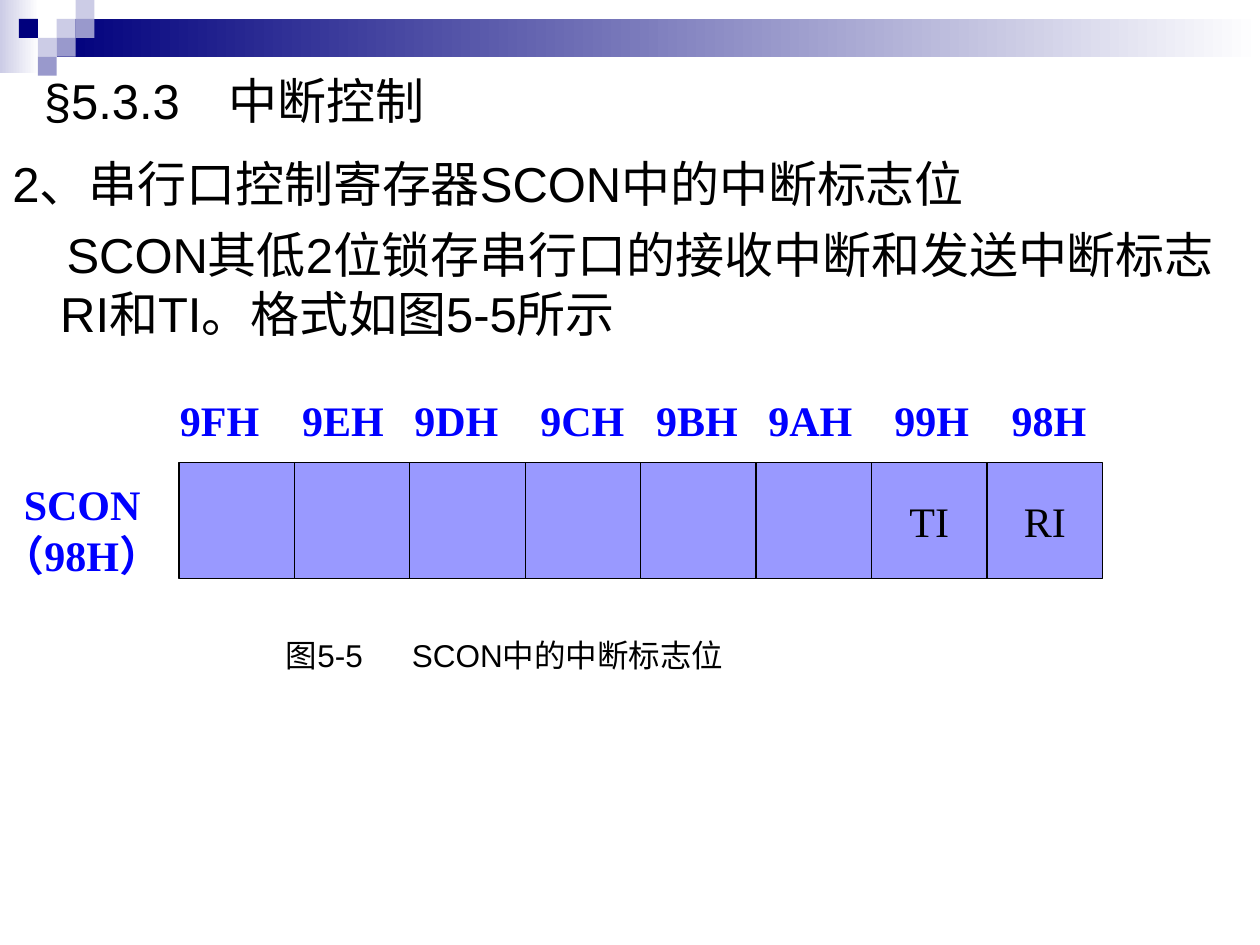
from collections import namedtuple
from dataclasses import dataclass

from pptx import Presentation
from pptx.dml.color import RGBColor
from pptx.enum.shapes import MSO_SHAPE as Shape
from pptx.enum.text import MSO_ANCHOR as Anchor, PP_ALIGN as Align
from pptx.util import Inches, Pt

Box = namedtuple("Box", "left top width height")


@dataclass(frozen=True)
class Theme:
    navy: str = "00007D"
    lavender: str = "CCCCE6"
    violet: str = "9999CC"
    cell: str = "9999FF"
    label: str = "0000FF"
    ink: str = "000000"
    paper: str = "FFFFFF"
    sans: str = "Arial"
    serif: str = "Times New Roman"
    heading_size: int = 28
    label_size: int = 24
    caption_size: int = 18


THEME = Theme()
HEADING = dict(name=THEME.sans, size=THEME.heading_size, color=THEME.ink, bold=False)
CAPTION = {**HEADING, "size": THEME.caption_size}
BIT = {**HEADING, "name": THEME.serif, "size": THEME.label_size}
LABEL = {**BIT, "color": THEME.label, "bold": True}


def rgb(color):
    return RGBColor.from_string(color)


def inches(box):
    return [Inches(length) for length in box]


def format_run(run, style):
    values = {"name": style["name"], "size": Pt(style["size"]), "bold": style["bold"]}
    for name, value in values.items():
        setattr(run.font, name, value)
    run.font.color.rgb = rgb(style["color"])


def set_indent(paragraph, margin=0, indent=0):
    properties = paragraph._p.get_or_add_pPr()
    properties.set("marL", str(Inches(margin)))
    properties.set("indent", str(Inches(indent)))


def write(frame, lines, style, anchor=Anchor.TOP, align=Align.LEFT, space=0):
    frame.word_wrap = True
    frame.vertical_anchor = anchor
    for number, (text, layout) in enumerate(lines):
        paragraph = frame.add_paragraph() if number else frame.paragraphs[0]
        paragraph.alignment = align
        paragraph.space_before = Pt(space)
        set_indent(paragraph, **layout)
        run = paragraph.add_run()
        run.text = text
        format_run(run, style)


def add_text(slide, box, lines, style, **options):
    shape = slide.shapes.add_textbox(*inches(box))
    write(shape.text_frame, lines, style, **options)


def add_rectangle(slide, box, *colors, line=None):
    shape = slide.shapes.add_shape(Shape.RECTANGLE, *inches(box))
    shape.shadow.inherit = False
    if len(colors) == 1:
        shape.fill.solid()
        shape.fill.fore_color.rgb = rgb(colors[0])
    else:
        shape.fill.gradient()
        shape.fill.gradient_angle = 0
        for stop, color in zip(shape.fill.gradient_stops, colors):
            stop.color.rgb = rgb(color)
    if line:
        shape.line.color.rgb = rgb(line)
        shape.line.width = Pt(0.75)
    else:
        shape.line.fill.background()
    return shape


def add_banner(slide, box):
    side = box.height / 4
    add_rectangle(slide, Box(box.left, box.top, 0.31, 0.58), THEME.lavender, THEME.paper)
    bar = Box(box.left + 3 * side, box.top + side, box.width - 3 * side, 2 * side)
    add_rectangle(slide, bar, THEME.navy, THEME.paper)
    squares = {
        THEME.lavender: [(3, 1), (4, 0), (2, 2)],
        THEME.violet: [(4, 1), (3, 2), (2, 3)],
        THEME.navy: [(1, 1)],
    }
    for color, places in squares.items():
        for column, row in places:
            square = Box(box.left + column * side, box.top + row * side, side, side)
            add_rectangle(slide, square, color)


def add_title(slide, box):
    add_text(slide, box, [("§5.3.3　中断控制", {})], HEADING, anchor=Anchor.MIDDLE)


def add_body(slide, box):
    lines = [
        ("2、串行口控制寄存器SCON中的中断标志位", dict(margin=0.38, indent=-0.38)),
        (
            "SCON其低2位锁存串行口的接收中断和发送中断标志RI和TI。格式如图5-5所示",
            dict(margin=0.38, indent=0.05),
        ),
    ]
    add_text(slide, box, lines, HEADING, space=7)


def add_register(slide, box):
    bits = [""] * 6 + ["TI", "RI"]
    width = box.width / len(bits)
    for column, bit in enumerate(bits):
        cell_box = Box(box.left + column * width, box.top, width, box.height)
        cell = add_rectangle(slide, cell_box, THEME.cell, line=THEME.ink)
        if bit:
            write(cell.text_frame, [(bit, {})], BIT, Anchor.MIDDLE, Align.CENTER)

    name_box = Box(box.left - 1.5, box.top + 0.08, 1.62, 0.9)
    add_text(slide, name_box, [("SCON", dict(indent=0.17)), ("（98H）", {})], LABEL)

    address_offsets = {
        "9FH": 0, "9EH": 0.97, "9DH": 1.86, "9CH": 2.86,
        "9BH": 3.78, "9AH": 4.67, "99H": 5.67, "98H": 6.6,
    }
    for address, offset in address_offsets.items():
        address_box = Box(box.left - 0.09 + offset, box.top - 0.59, 1, 0.5)
        add_text(slide, address_box, [(address, {})], LABEL)


def add_caption(slide, box):
    add_text(slide, box, [("图5-5\tSCON中的中断标志位", {})], CAPTION)


def main():
    presentation = Presentation()
    presentation.slide_width = Inches(10)
    presentation.slide_height = Inches(7.5)
    slide = presentation.slides.add_slide(presentation.slide_layouts[6])
    add_banner(slide, Box(0, 0, 10, 0.6))
    add_title(slide, Box(0.25, 0.5, 9.75, 0.58))
    add_body(slide, Box(0, 1.17, 10, 1.83))
    add_register(slide, Box(1.42, 3.67, 7.33, 0.92))
    add_caption(slide, Box(2.17, 5, 5.42, 0.4))
    presentation.save("out.pptx")


if __name__ == "__main__":
    main()
